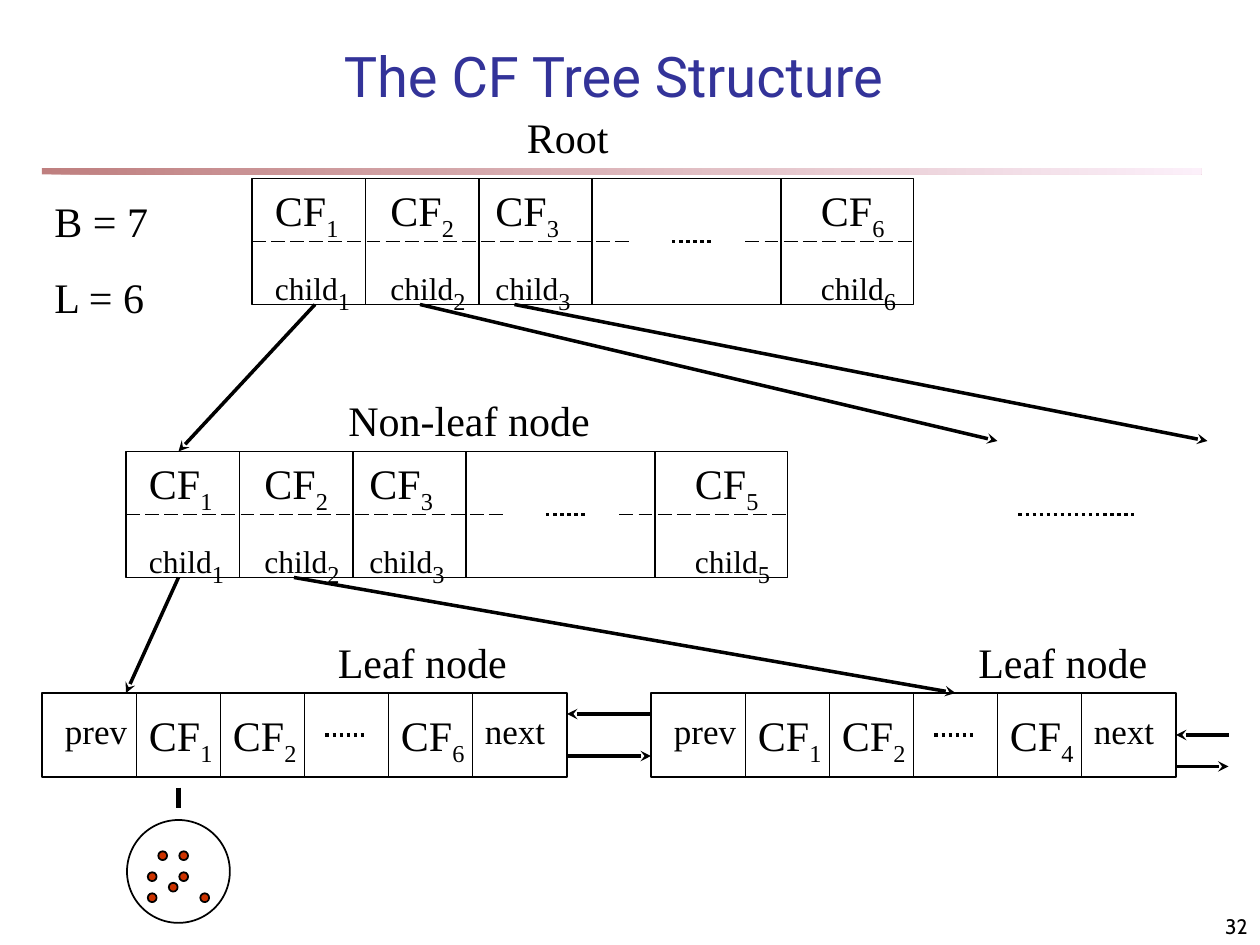
"""Build the CF tree structure slide on a grid of twelve units to the inch."""
from dataclasses import dataclass

from lxml import etree
from pptx import Presentation
from pptx.dml.color import RGBColor
from pptx.enum.dml import MSO_LINE
from pptx.enum.shapes import MSO_CONNECTOR, MSO_SHAPE
from pptx.enum.text import MSO_ANCHOR, MSO_AUTO_SIZE, PP_ALIGN
from pptx.oxml.ns import qn
from pptx.util import Cm, Pt

STRAIGHT = MSO_CONNECTOR.STRAIGHT
RECTANGLE, OVAL = MSO_SHAPE.RECTANGLE, MSO_SHAPE.OVAL
LONG_DASH, DOTTED = MSO_LINE.LONG_DASH, MSO_LINE.ROUND_DOT
BOTTOM = MSO_ANCHOR.BOTTOM
LEFT, CENTER, RIGHT = PP_ALIGN.LEFT, PP_ALIGN.CENTER, PP_ALIGN.RIGHT


@dataclass(frozen=True)
class Theme:
    ink: RGBColor = RGBColor(0, 0, 0)
    title: RGBColor = RGBColor(0x33, 0x33, 0x99)
    point: RGBColor = RGBColor(0xCC, 0x33, 0x00)
    bar: tuple = (RGBColor(0x80, 0, 0), RGBColor(0xFA, 0xE2, 0xF6))
    title_font: str = "Roboto"
    body_font: str = "Times New Roman"
    number_font: str = "Cabin"
    title_size: float = 32
    body_size: float = 24
    pointer_size: float = 20
    child_size: float = 18
    number_size: float = 12
    thin: float = 1
    bold: float = 2
    heavy: float = 3


THEME = Theme()

TITLE = "The CF Tree Structure"
PAGE_NUMBER = "32"
PARAMETERS = ["B = 7", "L = 6"]
LABELS = [("Root", 49, 10, 13), ("Non-leaf node", 32, 37, 26),
          ("Leaf node", 31, 60, 19), ("Leaf node", 92, 60, 19)]
INNER_NODES = [(24, 17, "6"), (12, 43, "5")]
INNER_DIVIDERS = [10.8, 21.6, 32.4, 50.4]
INNER_ENTRIES = [1, 12, 22, 53]
LEAVES = [(4, 66, "6"), (62, 66, "4")]
LEAF_DIVIDERS = [9, 17, 25, 33, 41]
LEAF_ENTRIES = [9, 17, 33]
LEAF_POINTERS = [("prev", 1), ("next", 41)]
ARROWS = [(30, 29, 17, 43), (40, 29, 95, 42), (49, 29, 115, 42),
          (17, 55, 12, 66), (28, 55, 91, 66),
          (62, 68, 54, 68), (54, 72, 62, 72),
          (112, 73, 117, 73), (117, 70, 112, 70)]
CLUSTER_POINTS = [(15.5, 81.5), (17.5, 83.5), (17.5, 81.5), (14.5, 85.5),
                  (14.5, 83.5), (16.5, 84.5), (19.5, 85.5)]


def grid(*units):
    return [Cm(unit * 2.54 / 12) for unit in units]


def style_font(font, name, size, color):
    font.name, font.size = name, Pt(size)
    font.color.rgb = color


def add_line(shapes, ends, width=THEME.thin, dash=None, arrow=False):
    connector = shapes.add_connector(STRAIGHT, *grid(*ends))
    connector.line.color.rgb = THEME.ink
    connector.line.width = Pt(width)
    if dash is not None:
        connector.line.dash_style = dash
    properties = connector._element.spPr
    if arrow:
        outline = properties.find(qn("a:ln"))
        etree.SubElement(outline, qn("a:tailEnd"), type="stealth")
    etree.SubElement(properties, qn("a:effectLst"))


def add_outline(shapes, kind, box, fill=None):
    shape = shapes.add_shape(kind, *grid(*box))
    shape.shadow.inherit = False
    shape.line.color.rgb = THEME.ink
    shape.line.width = Pt(THEME.thin)
    if fill is None:
        shape.fill.background()
    else:
        shape.fill.solid()
        shape.fill.fore_color.rgb = fill


def add_text(shapes, box, lines, size=THEME.body_size, font=THEME.body_font,
             space=15, align=LEFT):
    frame = shapes.add_textbox(*grid(*box)).text_frame
    frame.word_wrap = True
    frame.auto_size = MSO_AUTO_SIZE.NONE
    for index, line in enumerate(lines):
        paragraph = frame.add_paragraph() if index else frame.paragraphs[0]
        paragraph.add_run().text = line
        paragraph.space_before = Pt(space)
        paragraph.alignment = align
        style_font(paragraph.font, font, size, THEME.ink)
    return frame


def add_entry(shapes, left, top, width, word, index, size=THEME.body_size):
    paragraph = add_text(shapes, (left, top, width, 6.7), [word]).paragraphs[0]
    paragraph.runs[0].font.size = Pt(size)
    subscript = paragraph.add_run()
    subscript.text = index
    subscript.font.size = Pt(THEME.body_size)
    subscript._r.get_or_add_rPr().set("baseline", "-25000")


def add_frame(shapes, left, top, width, height, dividers):
    add_outline(shapes, RECTANGLE, (left, top, width, height))
    for offset in dividers:
        add_line(shapes, (left + offset, top, left + offset, top + height))


def add_inner_node(shapes, left, top, last):
    add_frame(shapes, left, top, 63, 12, INNER_DIVIDERS)
    middle = top + 6
    for start, end in [(0, 36), (47, 63)]:
        add_line(shapes, (left + start, middle, left + end, middle), dash=LONG_DASH)
    add_line(shapes, (left + 40, middle, left + 44, middle), THEME.bold, DOTTED)
    for offset, index in zip(INNER_ENTRIES, ["1", "2", "3", last]):
        add_entry(shapes, left + offset, top, 9, "CF", index)
        add_entry(shapes, left + offset, top + 7, 12, "child", index, THEME.child_size)


def add_leaf(shapes, left, top, last):
    add_frame(shapes, left, top, 50, 8, LEAF_DIVIDERS)
    add_line(shapes, (left + 27, top + 4, left + 31, top + 4), THEME.bold, DOTTED)
    for offset, index in zip(LEAF_ENTRIES, ["1", "2", last]):
        add_entry(shapes, left + offset, top + 1, 9, "CF", index)
    for word, offset in LEAF_POINTERS:
        add_text(shapes, (left + offset, top + 1, 9, 5.2), [word],
                 THEME.pointer_size, space=12.5)


def add_title_bar(shapes):
    bar = shapes.add_shape(RECTANGLE, *grid(4, 16, 110.4, 0.6))
    bar.shadow.inherit = False
    bar.line.fill.background()
    bar.fill.gradient()
    bar.fill.gradient_angle = 0
    for stop, color, position in zip(bar.fill.gradient_stops, THEME.bar, (0, 1)):
        stop.color.rgb = color
        stop.position = position
    for color in bar._element.spPr.iter(qn("a:srgbClr")):
        etree.SubElement(color, qn("a:alpha"), val="50000")


def add_title(slide):
    title = slide.shapes.title
    title.left, title.top, title.width, title.height = grid(8.9, 3, 99.1, 8)
    frame = title.text_frame
    frame.text = TITLE
    frame.vertical_anchor = BOTTOM
    paragraph = frame.paragraphs[0]
    paragraph.alignment = CENTER
    style_font(paragraph.font, THEME.title_font, THEME.title_size, THEME.title)


def add_cluster(shapes):
    for x, y in CLUSTER_POINTS:
        add_outline(shapes, OVAL, (x - 0.42, y - 0.42, 0.84, 0.84), THEME.point)
    add_outline(shapes, OVAL, (12.1, 78.1, 9.8, 9.8))


def main():
    presentation = Presentation()
    presentation.slide_width, presentation.slide_height = grid(120, 90)
    slide = presentation.slides.add_slide(presentation.slide_layouts[5])
    shapes = slide.shapes
    add_title_bar(shapes)
    add_title(slide)
    for node in INNER_NODES:
        add_inner_node(shapes.add_group_shape().shapes, *node)
    for leaf in LEAVES:
        add_leaf(shapes, *leaf)
    for arrow in ARROWS:
        add_line(shapes, arrow, THEME.bold, arrow=True)
    add_line(shapes, (97, 49, 108, 49), THEME.bold, DOTTED)
    add_text(shapes, (4, 18, 14, 13.3), PARAMETERS)
    for label, left, top, width in LABELS:
        add_text(shapes, (left, top, width, 6), [label])
    add_cluster(shapes.add_group_shape().shapes)
    add_line(shapes, (17, 75, 17, 77), THEME.heavy)
    number = add_text(shapes, (95, 85, 25, 5), [PAGE_NUMBER], THEME.number_size,
                      THEME.number_font, space=0, align=RIGHT)
    number.vertical_anchor = BOTTOM
    presentation.save("out.pptx")


main()
